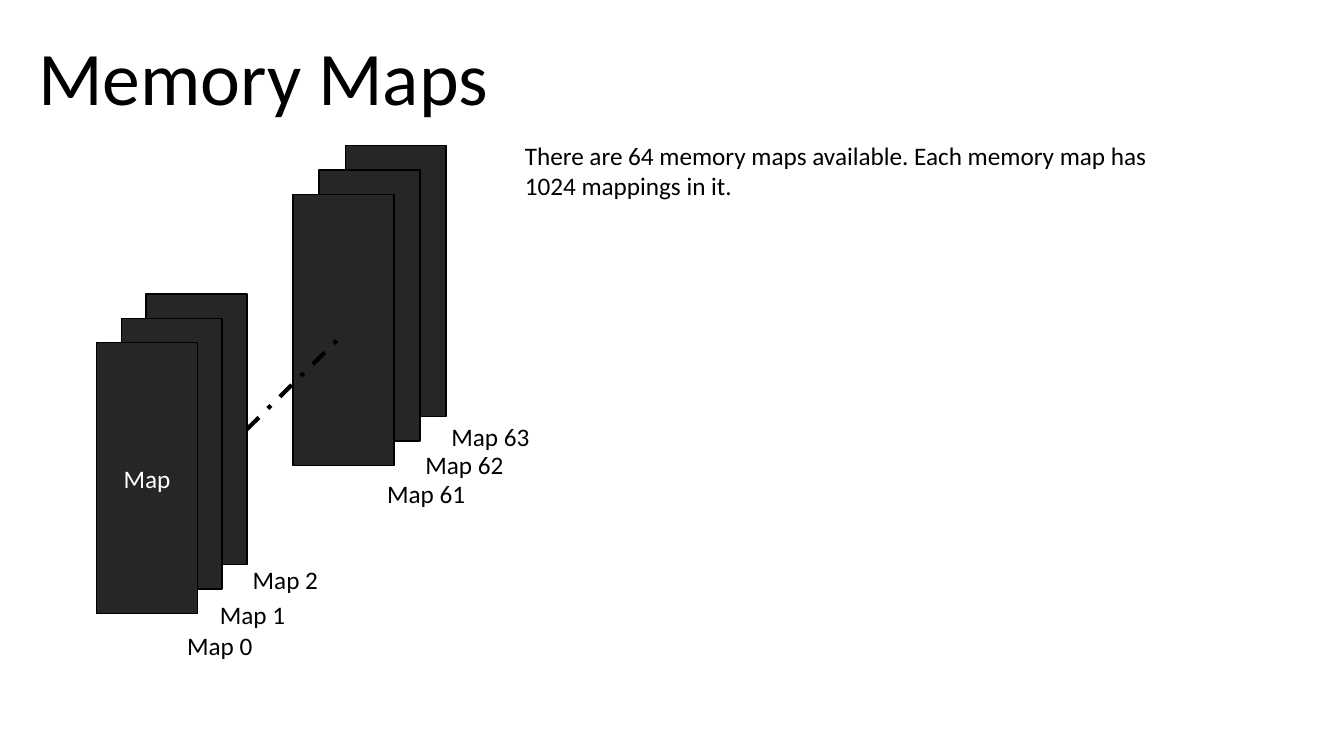
from lxml.etree import SubElement
from pptx import Presentation
from pptx.dml.color import RGBColor
from pptx.enum.dml import MSO_LINE
from pptx.enum.shapes import MSO_CONNECTOR, MSO_SHAPE
from pptx.enum.text import MSO_ANCHOR, MSO_AUTO_SIZE, PP_ALIGN
from pptx.oxml.ns import qn
from pptx.util import Inches, Pt

BLACK = RGBColor(0x00, 0x00, 0x00)
WHITE = RGBColor(0xFF, 0xFF, 0xFF)
CARD_FILL = RGBColor(0x26, 0x26, 0x26)

COLUMNS, ROWS = 160, 90
CARD_WIDTH, CARD_HEIGHT = 12, 32.25
CARD_RISE = 2.9
LABEL_HEIGHT = 4.85

BODY = {"name": "Calibri", "size": Pt(18)}
HEADING = {"name": "Calibri", "size": Pt(54)}


def apply_format(target, values):
    for attribute, value in values.items():
        setattr(target, attribute, value)


class MapSlide:
    """Places elements on a slide by columns and rows."""

    def __init__(self, presentation):
        self.column = presentation.slide_width / COLUMNS
        self.row = presentation.slide_height / ROWS
        self.shapes = presentation.slides.add_slide(presentation.slide_layouts[6]).shapes

    def place(self, *cells):
        """Turn alternating columns and rows into slide lengths."""
        return [round(cell * (self.row if i % 2 else self.column))
                for i, cell in enumerate(cells)]

    def fill_text(self, frame, lines, font, color, **paragraph_format):
        frame.text = "\n".join(lines)
        for paragraph in frame.paragraphs:
            apply_format(paragraph, paragraph_format)
            apply_format(paragraph.font, font)
            paragraph.font.color.rgb = color

    def title(self, text, *cells):
        frame = self.shapes.add_textbox(*self.place(*cells)).text_frame
        apply_format(frame, {"word_wrap": True, "vertical_anchor": MSO_ANCHOR.BOTTOM})
        self.fill_text(frame, [text], HEADING, BLACK, line_spacing=0.9)

    def note(self, lines, *cells):
        frame = self.shapes.add_textbox(*self.place(*cells)).text_frame
        apply_format(frame, {"word_wrap": False,
                             "auto_size": MSO_AUTO_SIZE.SHAPE_TO_FIT_TEXT})
        self.fill_text(frame, lines, BODY, BLACK)

    def card(self, column, row, text=""):
        card = self.shapes.add_shape(
            MSO_SHAPE.RECTANGLE, *self.place(column, row, CARD_WIDTH, CARD_HEIGHT))
        card.shadow.inherit = False
        card.fill.solid()
        card.fill.fore_color.rgb = CARD_FILL
        card.line.color.rgb = BLACK
        card.line.width = Pt(1)
        if text:
            card.text_frame.vertical_anchor = MSO_ANCHOR.MIDDLE
            self.fill_text(card.text_frame, [text], BODY, WHITE,
                           alignment=PP_ALIGN.CENTER)

    def stack(self, column, row, shift, front_text=""):
        """Draw three cards, back to front, with the front one at column and row."""
        for depth in (2, 1, 0):
            self.card(column + depth * shift, row - depth * CARD_RISE,
                      "" if depth else front_text)

    def gap_line(self, *cells):
        line = self.shapes.add_connector(MSO_CONNECTOR.STRAIGHT, *self.place(*cells))
        line.line.color.rgb = BLACK
        apply_format(line.line, {"width": Pt(3), "dash_style": MSO_LINE.DASH_DOT})
        SubElement(line._element.spPr, qn("a:effectLst"))


def main():
    presentation = Presentation()
    apply_format(presentation, {"slide_width": Inches(13.33), "slide_height": Inches(7.5)})
    slide = MapSlide(presentation)

    slide.title("Memory Maps", 3.35, 3.6, 120, 11.5)
    slide.stack(11.5, 40.8, 2.95, "Map")
    slide.stack(34.9, 23.15, 3.1)
    slide.gap_line(29.4, 51.1, 41.15, 39.5)

    map_labels = [
        (0, 21.1, 74.5, 10.3), (1, 25, 70.8, 10.3), (2, 28.9, 66.6, 10.3),
        (61, 44.9, 56.3, 11.9), (62, 49.45, 52.95, 11.9), (63, 52.55, 49.55, 11.9),
    ]
    for number, column, row, width in map_labels:
        slide.note([f"Map {number}"], column, row, width, LABEL_HEIGHT)

    slide.note(["There are 64 memory maps available. Each memory map has",
                "1024 mappings in it."], 61.3, 16.1, 77.3, 8.5)
    presentation.save("out.pptx")


if __name__ == "__main__":
    main()
